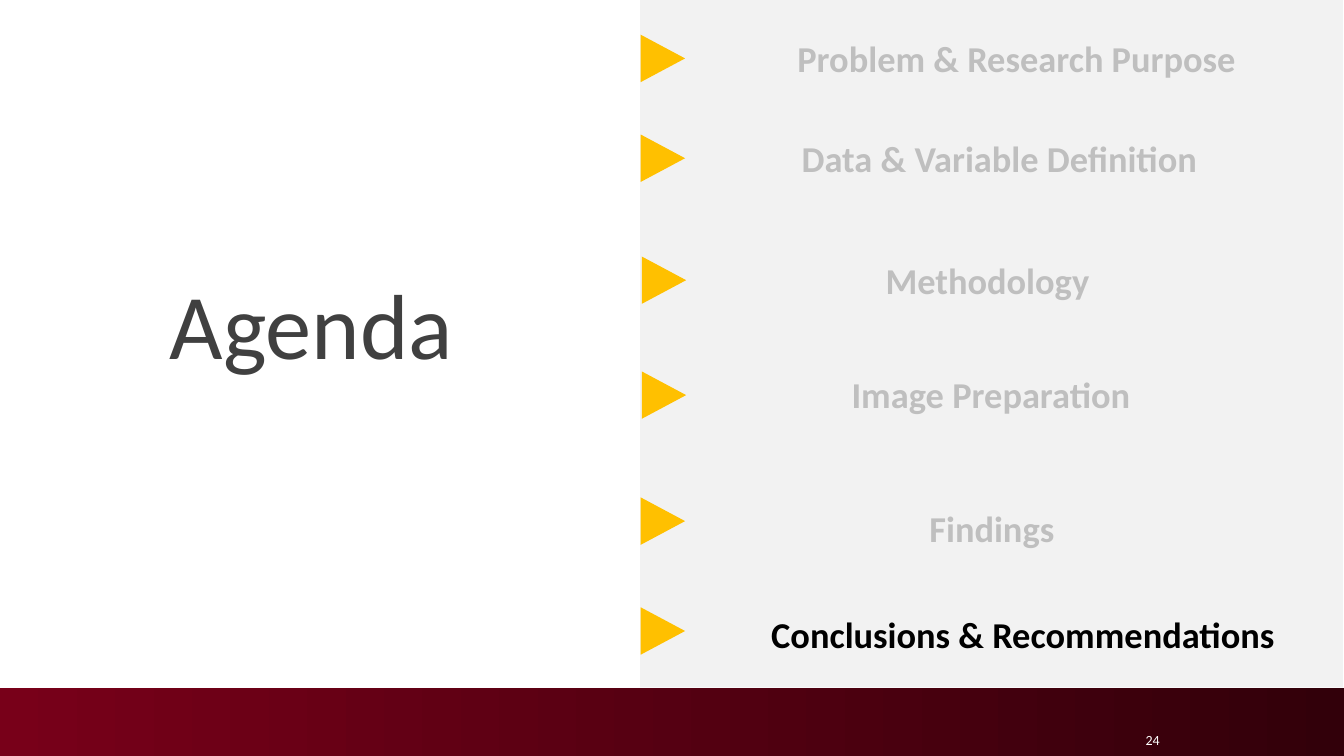
"""Build the agenda slide with its last topic highlighted."""
from pptx import Presentation
from pptx.dml.color import RGBColor
from pptx.enum.shapes import MSO_SHAPE
from pptx.enum.text import MSO_ANCHOR, PP_ALIGN
from pptx.util import Inches, Pt

RECT, ARROW = MSO_SHAPE.RECTANGLE, MSO_SHAPE.ISOSCELES_TRIANGLE
TOP, MIDDLE = MSO_ANCHOR.TOP, MSO_ANCHOR.MIDDLE
CENTER, RIGHT = PP_ALIGN.CENTER, PP_ALIGN.RIGHT
color = RGBColor.from_string

deck = Presentation()
deck.slide_width, deck.slide_height = Inches(13.33), Inches(7.5)
slide = deck.slides.add_slide(deck.slide_layouts[6])


def add_shape(kind, area, fill):
    shape = slide.shapes.add_shape(kind, *map(Inches, area))
    shape.shadow.inherit = False
    shape.line.fill.background()
    shape.fill.solid()
    shape.fill.fore_color.rgb = color(fill)
    return shape


def add_text(text, area, size, shade, bold=False, align=CENTER, anchor=MIDDLE):
    frame = slide.shapes.add_textbox(*map(Inches, area)).text_frame
    frame.word_wrap = True
    frame.vertical_anchor = anchor
    para = frame.paragraphs[0]
    para.alignment = align
    run = para.add_run()
    run.text = text
    run.font.name = "Calibri"
    run.font.size = Pt(size)
    run.font.bold = bold
    run.font.color.rgb = color(shade)
    return para


footer = add_shape(RECT, (0, 6.83, 13.33, 0.67), "780019")
footer.fill.gradient()
footer.fill.gradient_angle = 0
for stop, shade in zip(footer.fill.gradient_stops, ("780019", "32000A")):
    stop.color.rgb = color(shade)
add_text("24", (11.17, 7.14, 0.43, 0.4), 10, "FFFFFF", align=RIGHT)

add_shape(RECT, (6.35, -0.01, 6.97, 6.83), "F2F2F2")
title = add_text("Agenda", (0, 1.32, 6.18, 3.9), 66, "404040")
title.line_spacing = 0.9

topics = [
    ("Problem & Research Purpose", 6.34, 0.36, 7.13, 0.31, 5.91),
    ("Data & Variable Definition", 6.34, 1.35, 6.96, 1.3, 5.91),
    ("Methodology", 6.35, 2.56, 6.31, 2.51, 6.97),
    ("Image Preparation", 6.35, 3.7, 6.7, 3.64, 6.26),
    ("Findings", 6.34, 4.95, 6.71, 4.97, 6.26),
    ("Conclusions & Recommendations", 6.34, 6.04, 7.26, 6.02, 5.78),
]
current = topics[-1][0]
for topic, mark_x, mark_y, left, top, width in topics:
    marker = add_shape(ARROW, (mark_x, mark_y, 0.47, 0.44), "FFC000")
    marker.rotation = 90
    shade = "000000" if topic == current else "BFBFBF"
    add_text(topic, (left, top, width, 0.54), 26, shade, True, anchor=TOP)

deck.save("out.pptx")
